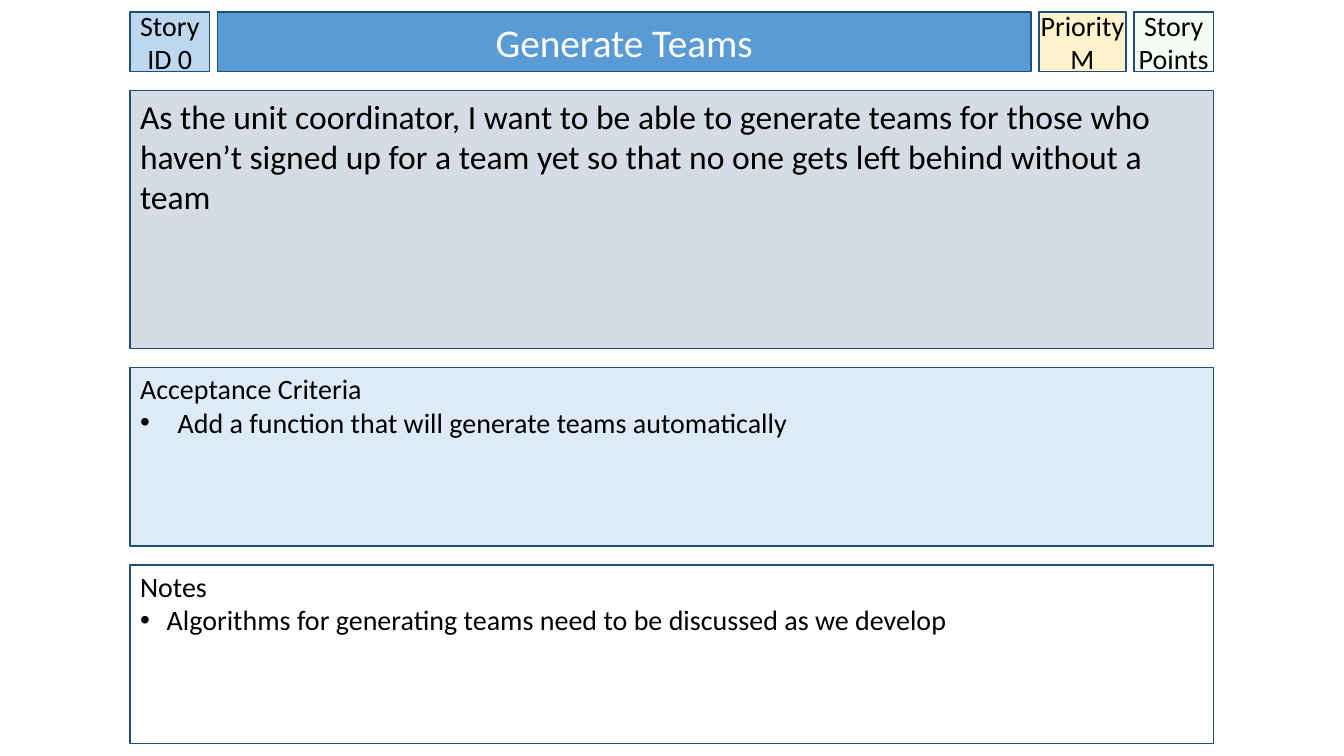
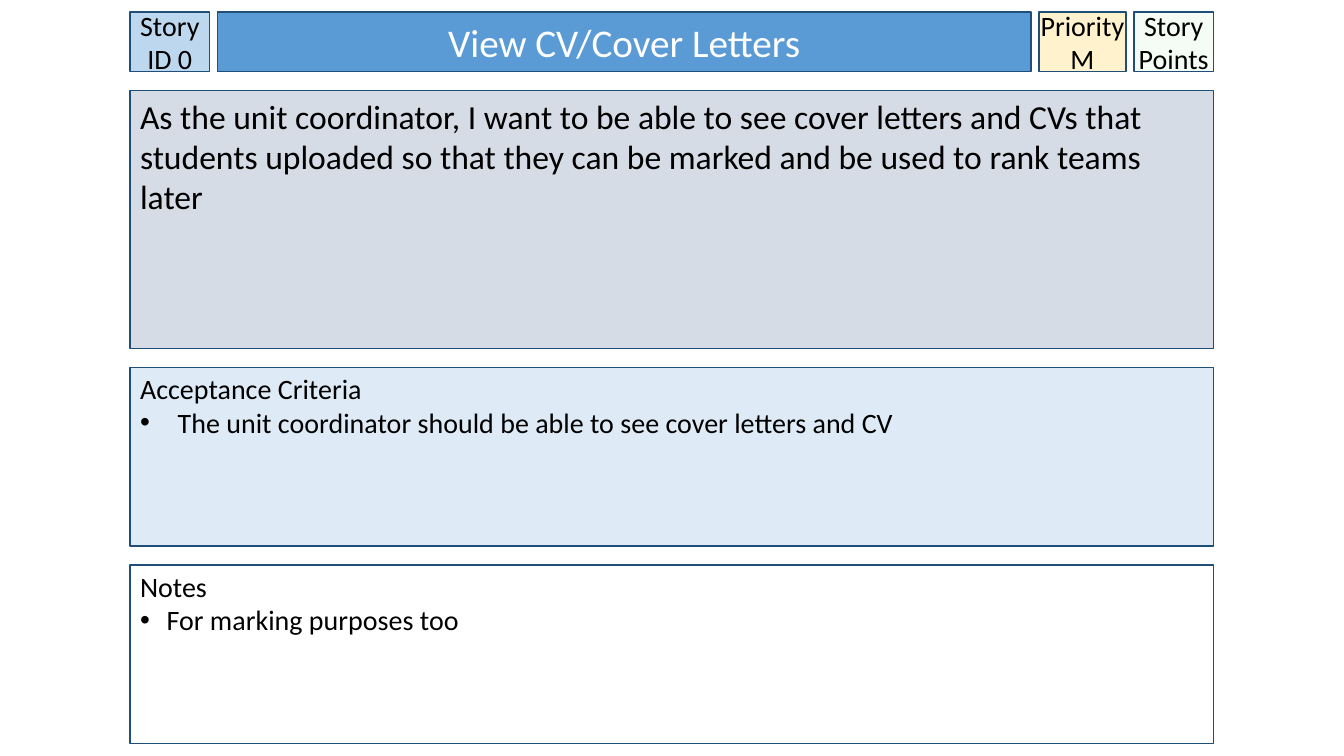
from dataclasses import dataclass

from lxml.etree import SubElement
from pptx import Presentation
from pptx.dml.color import RGBColor
from pptx.enum.shapes import MSO_SHAPE
from pptx.enum.text import MSO_ANCHOR, PP_ALIGN
from pptx.oxml.ns import qn
from pptx.slide import Slide
from pptx.text.text import TextFrame
from pptx.util import Cm, Pt


# Colours and type sizes
@dataclass(frozen=True)
class Theme:
    font: str = "Calibri"
    title_size: int = 28
    story_size: int = 24
    body_size: int = 20
    outline: str = "1F4E79"
    text: str = "000000"
    title_text: str = "FFFFFF"
    identifier: str = "BDD7EE"
    title: str = "5B9BD5"
    priority: str = "FFF2CC"
    points: str = "CCF0CD"
    story: str = "D6DCE5"
    criteria: str = "DEEBF7"
    notes: str = "FFFFFF"


THEME = Theme()

# Card layout, in centimetres
LEFT, TOP = 3.28, 0.3
HEADER_HEIGHT = 1.5
COLUMN_GAP, ROW_GAP = 0.2, 0.48
CARD_WIDTH = 27.3


@dataclass(frozen=True)
class StoryCard:
    title: str
    story: str
    criterion: str
    note: str


@dataclass(frozen=True)
class HeaderCell:
    lines: list[str]
    width: float
    fill: str
    size: int = THEME.body_size
    colour: str = THEME.text
    side_inset: float = 0
    opacity: int = 100
    wrap: bool = True


@dataclass(frozen=True)
class Panel:
    heading: str
    height: float
    fill: str
    bullet: str = ""
    hanging: float = 0
    size: int = THEME.body_size
    top_inset: float = 0.1


CARDS = [
    StoryCard(
        "Generate Teams",
        "As the unit coordinator, I want to be able to generate teams for those who "
        "haven’t signed up for a team yet so that no one gets left behind without a team",
        "Add a function that will generate teams automatically",
        "Algorithms for generating teams need to be discussed as we develop",
    ),
    StoryCard(
        "View CV/Cover Letters",
        "As the unit coordinator, I want to be able to see cover letters and CVs that "
        "students uploaded so that they can be marked and be used to rank teams later",
        "The unit coordinator should be able to see cover letters and CV",
        "For marking purposes too",
    ),
]


def add_box(slide: Slide, left: float, top: float, width: float, height: float,
            fill: str, opacity: int = 100) -> TextFrame:
    """Draw an outlined rectangle and return its text frame."""
    shape = slide.shapes.add_shape(
        MSO_SHAPE.RECTANGLE, Cm(left), Cm(top), Cm(width), Cm(height))
    shape.shadow.inherit = False
    shape.fill.solid()
    shape.fill.fore_color.rgb = RGBColor.from_string(fill)
    if opacity < 100:
        colour = shape.fill._xPr.find(f".//{qn('a:srgbClr')}")
        SubElement(colour, qn("a:alpha"), val=str(opacity * 1000))
    shape.line.color.rgb = RGBColor.from_string(THEME.outline)
    shape.line.width = Pt(1)
    return shape.text_frame


def set_frame(frame: TextFrame, *, anchor: MSO_ANCHOR, side_inset: float,
              top_inset: float = 0.13, wrap: bool = True) -> None:
    frame.word_wrap = wrap
    frame.vertical_anchor = anchor
    frame.margin_left = frame.margin_right = Cm(side_inset)
    frame.margin_top = Cm(top_inset)
    frame.margin_bottom = Cm(0.13)


def add_text(frame: TextFrame, text: str, *, size: int, colour: str = THEME.text,
             align: PP_ALIGN = PP_ALIGN.LEFT, hanging: float = 0) -> None:
    """Write one paragraph; a hanging indent makes it a bullet."""
    first = frame.paragraphs[0]
    paragraph = frame.add_paragraph() if first.runs else first
    paragraph.alignment = align
    if hanging:
        properties = paragraph._p.get_or_add_pPr()
        properties.set("marL", str(Cm(hanging)))
        properties.set("indent", str(-Cm(hanging)))
        SubElement(properties, qn("a:buFont"), typeface="Arial")
        SubElement(properties, qn("a:buChar"), char="•")
    run = paragraph.add_run()
    run.text = text
    run.font.name = THEME.font
    run.font.size = Pt(size)
    run.font.color.rgb = RGBColor.from_string(colour)


def draw_header(slide: Slide, cells: list[HeaderCell]) -> None:
    left = LEFT
    for cell in cells:
        frame = add_box(slide, left, TOP, cell.width, HEADER_HEIGHT, cell.fill, cell.opacity)
        set_frame(frame, anchor=MSO_ANCHOR.MIDDLE, side_inset=cell.side_inset, wrap=cell.wrap)
        for line in cell.lines:
            add_text(frame, line, size=cell.size, colour=cell.colour, align=PP_ALIGN.CENTER)
        left += cell.width + COLUMN_GAP


def draw_panels(slide: Slide, panels: list[Panel]) -> None:
    top = TOP + HEADER_HEIGHT + ROW_GAP
    for panel in panels:
        frame = add_box(slide, LEFT, top, CARD_WIDTH, panel.height, panel.fill)
        set_frame(frame, anchor=MSO_ANCHOR.TOP, side_inset=0.25, top_inset=panel.top_inset)
        add_text(frame, panel.heading, size=panel.size)
        if panel.bullet:
            add_text(frame, panel.bullet, size=panel.size, hanging=panel.hanging)
        top += panel.height + ROW_GAP


def draw_card(slide: Slide, card: StoryCard) -> None:
    draw_header(slide, [
        HeaderCell(["Story ID 0"], 2, THEME.identifier),
        HeaderCell([card.title], 20.5, THEME.title, size=THEME.title_size,
                   colour=THEME.title_text, side_inset=0.25),
        HeaderCell(["Priority", "M"], 2.2, THEME.priority, wrap=False),
        HeaderCell(["Story Points"], 2, THEME.points, opacity=20),
    ])
    draw_panels(slide, [
        Panel(card.story, 6.5, THEME.story, size=THEME.story_size, top_inset=0.13),
        Panel("Acceptance Criteria", 4.5, THEME.criteria, card.criterion, hanging=0.95),
        Panel("Notes", 4.5, THEME.notes, card.note, hanging=0.67),
    ])


def main() -> None:
    presentation = Presentation()
    presentation.slide_width = Cm(33.87)
    presentation.slide_height = Cm(19.05)
    blank_layout = presentation.slide_layouts[6]
    for card in CARDS:
        draw_card(presentation.slides.add_slide(blank_layout), card)
    presentation.save("out.pptx")


if __name__ == "__main__":
    main()
